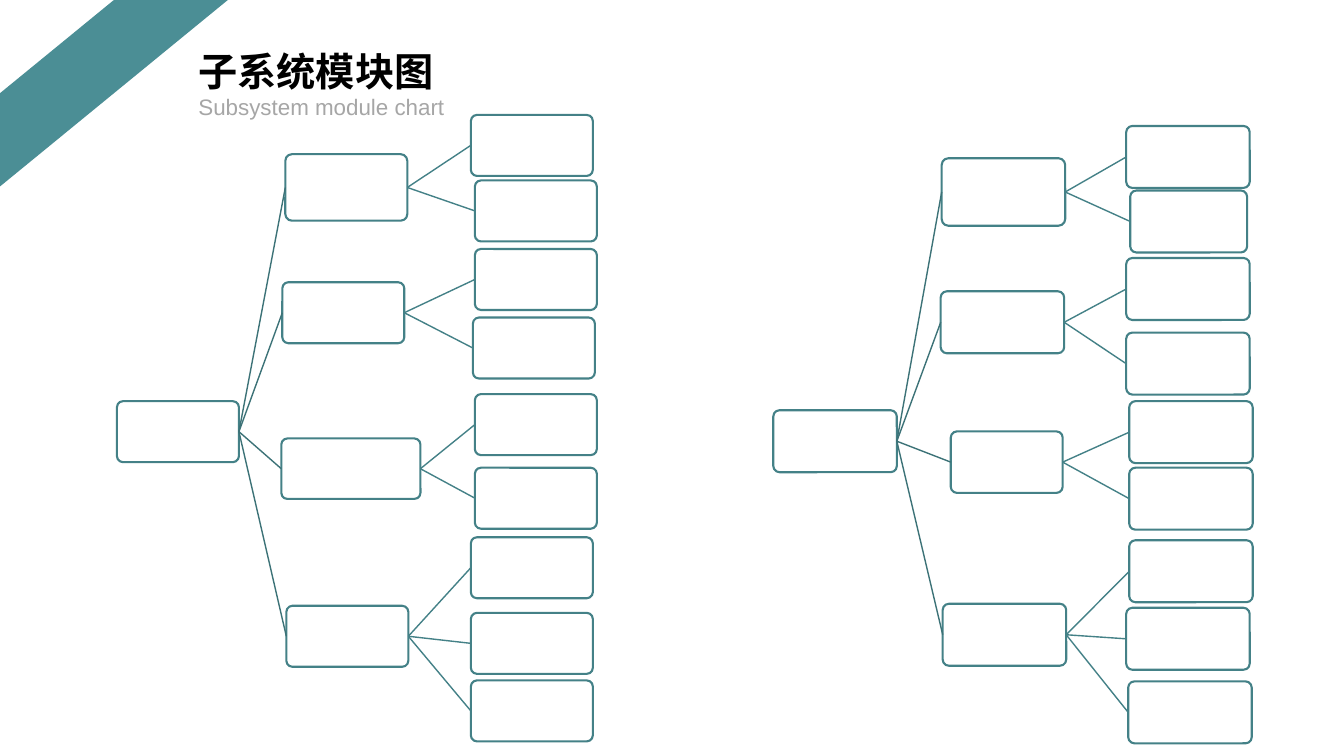
import pptx
import pptx.util
import pptx.dml.color
import pptx.enum.shapes
import pptx.enum.text
import pptx.oxml.ns
import lxml.etree

COLORS = {
    "stripe": "4B8E95",
    "outline": "448187",
    "trunk": "3C7277",
    "paper": "FFFFFF",
    "title": "000000",
    "subtitle": "A6A6A6",
}
LEFT_SITE, RIGHT_SITE = 1, 3


class SlideBuilder:
    font = "Arial"
    columns, rows = 133.3, 75
    corner = 0.1

    def __init__(self, deck):
        self.deck = deck
        self.slide = deck.slides.add_slide(deck.slide_layouts[6])

    def place(self, left, top, width, height):
        column = self.deck.slide_width / self.columns
        row = self.deck.slide_height / self.rows
        return [round(left * column), round(top * row), round(width * column), round(height * row)]

    def color(self, name):
        return pptx.dml.color.RGBColor.from_string(COLORS[name])

    def shape(self, kind, area, fill, outline=None):
        shape = self.slide.shapes.add_shape(kind, *self.place(*area))
        shape.shadow.inherit = False
        shape.fill.solid()
        shape.fill.fore_color.rgb = self.color(fill)
        if outline:
            shape.line.color.rgb = self.color(outline)
            shape.line.width = pptx.util.Pt(1.5)
        else:
            shape.line.fill.background()
        return shape

    def module(self, area):
        box = self.shape(pptx.enum.shapes.MSO_SHAPE.ROUNDED_RECTANGLE, area, "paper", "outline")
        box.adjustments[0] = self.corner
        return box

    def link(self, parent, child, color):
        line = self.slide.shapes.add_connector(pptx.enum.shapes.MSO_CONNECTOR.STRAIGHT, 0, 0, 0, 0)
        line.begin_connect(parent, RIGHT_SITE)
        line.end_connect(child, LEFT_SITE)
        line.line.color.rgb = self.color(color)
        line.line.width = pptx.util.Pt(1)
        lxml.etree.SubElement(line._element.spPr, pptx.oxml.ns.qn("a:effectLst"))

    def text(self, area, words, size, color, bold=False, wrap=True):
        box = self.slide.shapes.add_textbox(*self.place(*area))
        frame = box.text_frame
        frame.word_wrap = wrap
        frame.auto_size = pptx.enum.text.MSO_AUTO_SIZE.SHAPE_TO_FIT_TEXT
        span = frame.paragraphs[0].add_run()
        span.text = words
        span.font.name = self.font
        span.font.size = pptx.util.Pt(size)
        span.font.bold = bold
        span.font.color.rgb = self.color(color)

    def tree(self, root_area, branches, leaf_size):
        root = self.module(root_area)
        for branch_area, leaves in branches:
            branch = self.module(branch_area)
            self.link(root, branch, "trunk")
            for left, top, *own_size in leaves:
                leaf = self.module((left, top, *(own_size or leaf_size)))
                self.link(branch, leaf, "outline")


LEFT_SIZE = (12.1, 6.05)
LEFT_BRANCHES = [
    ((28.3, 15.3, 12.1, 6.6), [(46.7, 11.4), (47.1, 17.9)]),
    ((27.9, 43.5, 13.8, 6), [(47.1, 39.1), (47.1, 46.4)]),
    ((28, 28, *LEFT_SIZE), [(47.1, 24.7), (46.9, 31.5)]),
    ((28.4, 60.1, *LEFT_SIZE), [(46.7, 53.3), (46.7, 60.8), (46.7, 67.5)]),
]
RIGHT_SIZE = (12.25, 6.15)
RIGHT_BRANCHES = [
    ((93.4, 15.7, 12.25, 6.7), [(111.7, 12.5), (112.1, 18.9, 11.6, 6.15)]),
    ((94.3, 42.8, 11.1, 6.1), [(112, 39.8), (112, 46.4)]),
    ((93.3, 28.9, *RIGHT_SIZE), [(111.7, 25.6), (111.7, 33)]),
    ((93.5, 59.9, *RIGHT_SIZE), [(112, 53.6), (111.7, 60.3), (111.9, 67.6)]),
]

deck = pptx.Presentation()
deck.slide_width = pptx.util.Inches(13.33)
deck.slide_height = pptx.util.Inches(7.5)
page = SlideBuilder(deck)
page.shape(pptx.enum.shapes.MSO_SHAPE.DIAGONAL_STRIPE, (0, 0, 22.6, 18.5), "stripe")
page.text((18.7, 4.2, 25.6, 5.7), "子系统模块图", 28, "title", bold=True, wrap=False)
page.text((18.7, 8.8, 55.4, 3.7), "Subsystem module chart", 16, "subtitle")
page.tree((11.6, 39.8, *LEFT_SIZE), LEFT_BRANCHES, LEFT_SIZE)
page.tree((76.7, 40.7, *RIGHT_SIZE), RIGHT_BRANCHES, RIGHT_SIZE)
deck.save("out.pptx")
